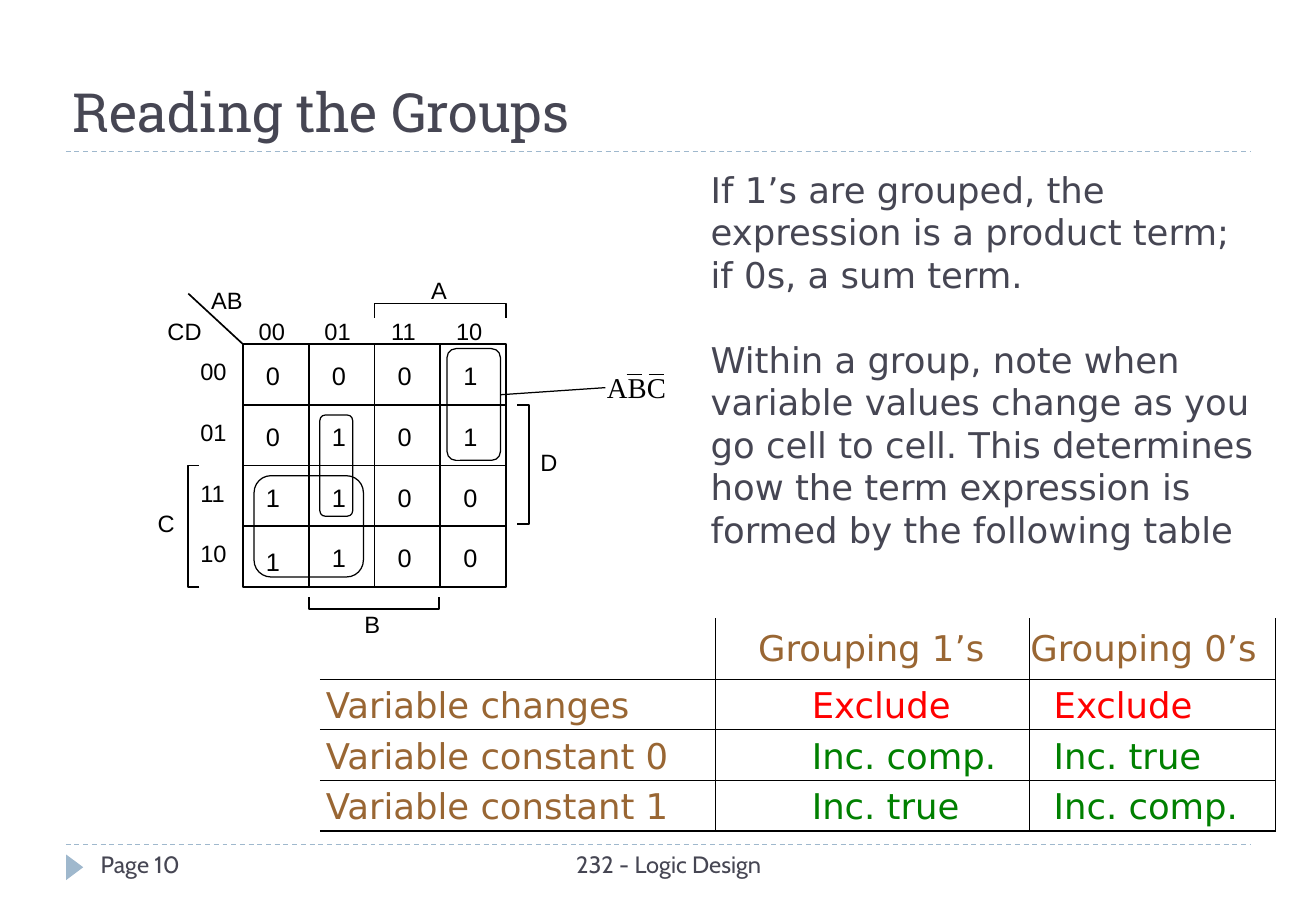
import pptx
import pptx.util
import pptx.oxml
import pptx.oxml.ns
import pptx.dml.color
import pptx.enum.text
import pptx.enum.shapes

COLORS = {"ink": "464653", "accent": "9FB8CD", "black": "000000",
          "label": "996633", "exclude": "FF0000", "include": "008000"}
ALIGN = pptx.enum.text.PP_ALIGN
ANCHOR = pptx.enum.text.MSO_ANCHOR
SHAPE = pptx.enum.shapes.MSO_SHAPE
COLUMNS, ROWS = 65, 45  # slide grid


def rgb(name):
    return pptx.dml.color.RGBColor.from_string(COLORS[name])


def write(paragraph, text, size=14, font="Arial", color="black",
          align=ALIGN.LEFT, spacing=1.0, before=0):
    paragraph.alignment = align
    paragraph.line_spacing = spacing
    paragraph.space_before = pptx.util.Pt(before)
    run = paragraph.add_run()
    run.text = text
    run.font.size = pptx.util.Pt(size)
    run.font.name = font
    run.font.color.rgb = rgb(color)


class Board:
    """Draws on one slide, measuring in grid columns and rows."""

    def __init__(self, presentation):
        self.column = presentation.slide_width / COLUMNS
        self.row = presentation.slide_height / ROWS
        self.slide = presentation.slides.add_slide(presentation.slide_layouts[1])
        self.shapes = self.slide.shapes

    def place(self, *lengths):
        return [pptx.util.Emu(round(length * (self.row if index % 2 else self.column)))
                for index, length in enumerate(lengths)]

    def outline(self, shape, width):
        shape.shadow.inherit = False
        shape.fill.background()
        shape.line.color.rgb = rgb("black")
        shape.line.width = pptx.util.Pt(width)
        return shape

    def box(self, kind, area, width=0.75):
        return self.outline(self.shapes.add_shape(kind, *self.place(*area)), width)

    def bracket(self, points):
        start, *rest = [self.place(*point) for point in points]
        builder = self.shapes.build_freeform(*start)
        builder.add_line_segments(rest, close=False)
        self.outline(builder.convert_to_shape(), 1)

    def line(self, ends, width=0.75, color="black", dash=None, joined=None, sites=()):
        connector = self.shapes.add_connector(
            pptx.enum.shapes.MSO_CONNECTOR.STRAIGHT, *self.place(*ends))
        connector.line.color.rgb = rgb(color)
        connector.line.width = pptx.util.Pt(width)
        connector.line.dash_style = dash
        properties = connector._element.spPr
        properties.append(pptx.oxml.parse_xml(
            f'<a:effectLst {pptx.oxml.ns.nsdecls("a")}/>'))
        if joined:
            connector.begin_connect(joined, sites[0])
            connector.end_connect(joined, sites[1])

    def text(self, text, area, anchor=ANCHOR.TOP, **style):
        frame = self.shapes.add_textbox(*self.place(*area)).text_frame
        frame.word_wrap = True
        frame.vertical_anchor = anchor
        write(frame.paragraphs[0], text, **style)

    def placeholder(self, index, paragraphs, area, anchor):
        shape = self.slide.placeholders[index]
        shape.left, shape.top, shape.width, shape.height = self.place(*area)
        frame = shape.text_frame
        frame.auto_size = pptx.enum.text.MSO_AUTO_SIZE.NONE
        frame.word_wrap = True
        frame.vertical_anchor = anchor
        for number, (text, style) in enumerate(paragraphs):
            paragraph = frame.add_paragraph() if number else frame.paragraphs[0]
            write(paragraph, text, **style)
            properties = paragraph._p.get_or_add_pPr()
            properties.set("marL", "0")
            properties.set("indent", "0")
            properties.append(pptx.oxml.parse_xml(
                f'<a:buNone {pptx.oxml.ns.nsdecls("a")}/>'))

    def borders(self, cell, sides):
        properties = cell._tc.get_or_add_tcPr()
        for index, (side, shown) in enumerate(sides.items()):
            paint = (f'<a:solidFill><a:srgbClr val="{COLORS["black"]}"/></a:solidFill>'
                     if shown else "<a:noFill/>")
            properties.insert(index, pptx.oxml.parse_xml(
                f'<a:ln{side} w="9525" {pptx.oxml.ns.nsdecls("a")}>{paint}</a:ln{side}>'))

    def table(self, rows, area, widths, heights, margins):
        table = self.shapes.add_table(len(rows), len(widths), *self.place(*area)).table
        table.first_row = table.horz_banding = False
        for column, width in zip(table.columns, widths):
            column.width = self.place(width)[0]
        for r, values in enumerate(rows):
            table.rows[r].height = self.place(0, heights[r])[1]
            for c, value in enumerate(values):
                cell = table.cell(r, c)
                cell.fill.background()
                self.borders(cell, {"L": c > 0, "R": True, "T": r > 0, "B": True})
                cell.margin_left = self.place(margins[r > 0][c])[0]
                cell.margin_right = cell.margin_bottom = 0
                cell.margin_top = self.place(0, 0.2 if r else 0)[1]
                cell.vertical_anchor = ANCHOR.MIDDLE
                if value:
                    color = ("label" if r == 0 or c == 0 else
                             "exclude" if value == "Exclude" else "include")
                    write(cell.text_frame.paragraphs[0], value, size=21,
                          font="DejaVu Sans", color=color)


def draw_frame(board):
    for y in (7.5, 41.7):
        board.line((3.25, y, 61.75, y), color="accent",
                   dash=pptx.enum.dml.MSO_LINE.DASH)
    marker = board.box(SHAPE.ISOSCELES_TRIANGLE, (3.06, 42.42, 1.26, 0.84))
    marker.rotation = 90
    marker.fill.solid()
    marker.fill.fore_color.rgb = rgb("accent")
    marker.line.fill.background()
    footer = {"font": "Cabin", "color": "ink"}
    board.text("232 - Logic Design", (20.58, 41.7, 24.9, 2.4), align=ALIGN.CENTER, **footer)
    board.text("Page 10", (4.38, 41.7, 14.1, 2.4), **footer)
    board.placeholder(0, [("Reading the Groups", {
        "size": 32, "font": "Roboto Slab", "color": "ink"})],
        (3, 1.5, 57.7, 5.9), ANCHOR.BOTTOM)


def draw_map(board):
    left, top, wide, high = 12, 17, 3.25, 3
    right, bottom = left + 4 * wide, top + 4 * high
    square = board.box(SHAPE.RECTANGLE, (left, top, right - left, bottom - top), 1)
    for n in (1, 2, 3):
        joined = square if n == 2 else None
        x, y = left + n * wide, top + n * high
        board.line((left, y, right, y), 1, joined=joined, sites=(1, 3))
        board.line((x, top, x, bottom), 1, joined=joined, sites=(0, 2))
    board.line((left, top, 9.3, 14.5), 1)

    # Variable names and Gray code labels
    for name, x, y in (("AB", 9.84, 14), ("CD", 7.68, 15.5), ("A", 20.7, 13.5),
                       ("B", 17.4, 30), ("C", 7.2, 25), ("D", 26.1, 22)):
        board.text(name, (x, y, 3.5, 1.86), spacing=0.9)
    for n, code in enumerate(("00", "01", "11", "10")):
        board.text(code, (left - 0.2 + n * wide, 15.5, wide, 1.86),
                   align=ALIGN.CENTER, spacing=0.9)
        board.text(code, (9.3, top + 0.5 + n * high, 3.5, 1.86), spacing=0.9)
    for r, values in enumerate(("0001", "0101", "1100", "1100")):
        for c, value in enumerate(values):
            drop = 0.2 if (r, c) == (3, 0) else 0
            board.text(value, (left + 0.55 + c * wide, top + 0.5 + r * high + drop, 2, 2.1),
                       size=15)

    # Brackets for A, B, C and D
    for points in (((18.5, 15.7), (18.5, 15), (25, 15), (25, 15.7)),
                   ((21.7, 29.5), (21.7, 30.07), (15.25, 30.07), (15.25, 29.5)),
                   ((9.85, 29), (9.3, 29), (9.3, 23), (9.85, 23)),
                   ((25.55, 20), (26.12, 20), (26.12, 25.9), (25.55, 25.9))):
        board.bracket(points)

    # Groups of ones and the product term
    for area in ((22.08, 17.22, 2.64, 5.52), (12.55, 23.5, 5.4, 5), (15.8, 20.5, 1.62, 5)):
        board.box(SHAPE.ROUNDED_RECTANGLE, area)
    board.text("ABC", (28.94, 17.94, 5, 2.34), anchor=ANCHOR.MIDDLE, size=17,
               font="Times New Roman", align=ALIGN.CENTER)
    for x in (30.95, 32.05):
        board.line((x, 18.5, x + 0.75, 18.5))
    board.line((24.7, 19.5, 29.9, 19.15))


def draw_rules(board):
    style = {"size": 21, "font": "DejaVu Sans", "color": "ink"}
    board.placeholder(1, [
        ("If 1’s are grouped, the expression is a product term;", style),
        ("if 0s, a sum term.", style),
        ("Within a group, note when variable values change as you go cell to cell. "
         "This determines how the term expression is formed by the following table",
         {**style, "before": 25})], (34.5, 8, 30.5, 20.5), ANCHOR.TOP)
    board.table([("", "Grouping 1’s", "Grouping 0’s"),
                 ("Variable changes", "Exclude", "Exclude"),
                 ("Variable constant 0", "Inc. comp.", "Inc. true"),
                 ("Variable constant 1", "Inc. true", "Inc. comp.")],
                area=(15.8, 30.55, 47.2, 10.5), widths=(19.55, 15.5, 12.15),
                heights=(3, 2.5, 2.5, 2.5),
                margins=((0.3, 2.1, 0.05), (0.3, 4.75, 1.2)))


def main():
    presentation = pptx.Presentation()
    presentation.slide_width = pptx.util.Inches(10.83)
    presentation.slide_height = pptx.util.Inches(7.5)
    board = Board(presentation)
    draw_frame(board)
    draw_map(board)
    draw_rules(board)
    presentation.save("out.pptx")


if __name__ == "__main__":
    main()
